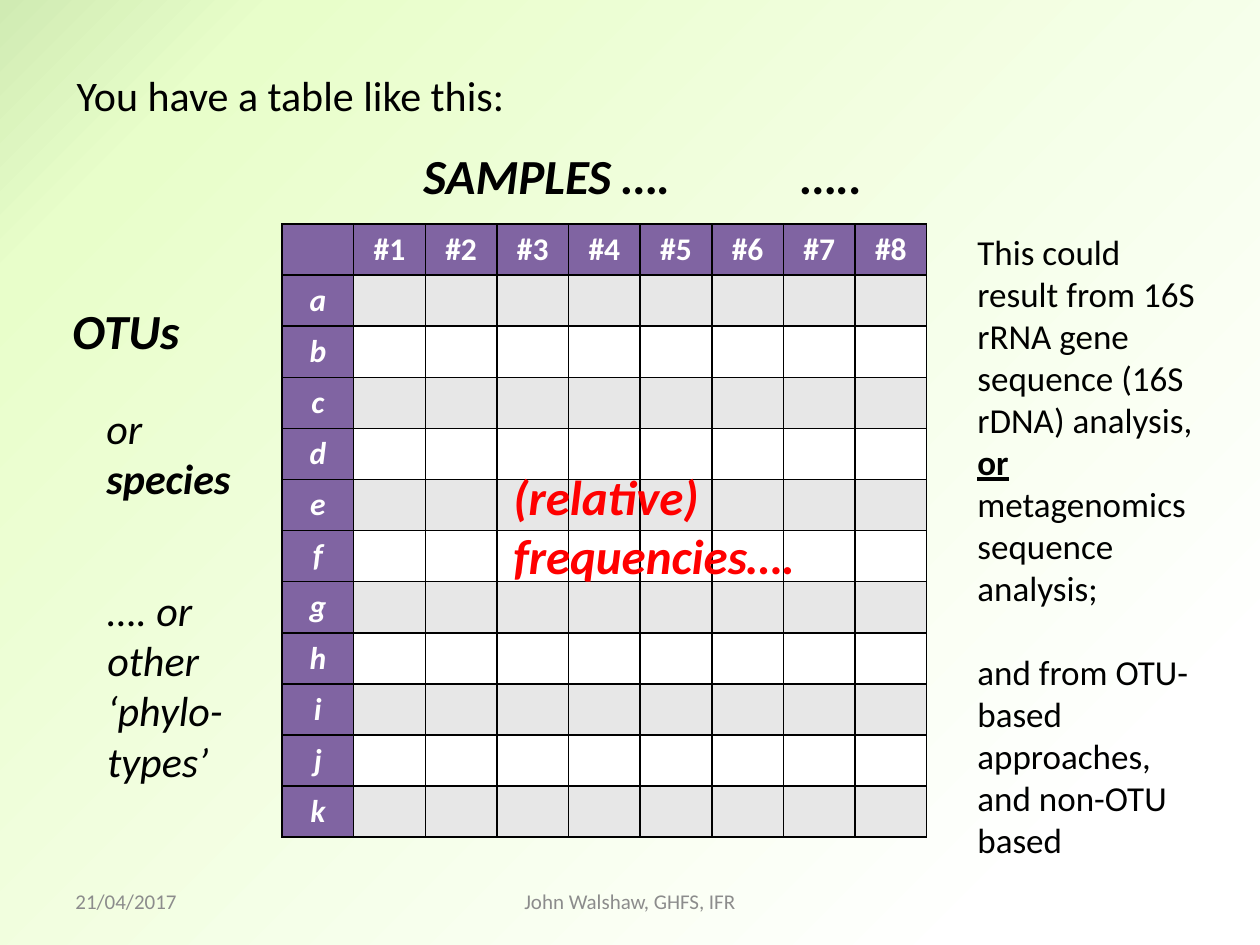
from copy import deepcopy

from lxml.etree import SubElement
from pptx import Presentation
from pptx.dml.color import RGBColor
from pptx.enum.text import MSO_ANCHOR, MSO_AUTO_SIZE, PP_ALIGN
from pptx.oxml.ns import qn
from pptx.util import Emu, Pt

BLACK = RGBColor(0x00, 0x00, 0x00)
WHITE = RGBColor(0xFF, 0xFF, 0xFF)
RED = RGBColor(0xFF, 0x00, 0x00)
GREY = RGBColor(0x8C, 0x8C, 0x8C)
BAND = RGBColor(0xE7, 0xE7, 0xE7)
PURPLE = RGBColor(0x80, 0x64, 0xA2)
LIME = RGBColor(0xD0, 0xEB, 0xB3)
PALE_LIME = RGBColor(0xE8, 0xFE, 0xCA)

SAMPLES = [f"#{number}" for number in range(1, 9)]
OTUS = "abcdefghijk"


def px(length):
    return Emu(round(length * 914400 / 126))


def style(font, size, color=BLACK, bold=False, italic=False):
    font.name = "Calibri"
    font.size = Pt(size)
    font.color.rgb = color
    font.bold = bold
    font.italic = italic


def add_text(slide, box, lines, size, color=BLACK, bold=False, italic=False,
             align=PP_ALIGN.LEFT, anchor=MSO_ANCHOR.TOP):
    """Add a text box; each line is a list of run texts."""
    frame = slide.shapes.add_textbox(*map(px, box)).text_frame
    frame.word_wrap = True
    frame.vertical_anchor = anchor
    for index, runs in enumerate(lines):
        paragraph = frame.add_paragraph() if index else frame.paragraphs[0]
        paragraph.alignment = align
        style(paragraph.font, size, color, bold, italic)
        for text in runs:
            paragraph.add_run().text = text
    return frame.paragraphs


def paint_background(slide):
    fill = slide.background.fill
    fill.gradient()
    fill.gradient_angle = 315
    stop_list = slide.element.find(".//" + qn("a:gsLst"))
    stop_list.append(deepcopy(stop_list[0]))
    colors = [(0, LIME), (0.13, PALE_LIME), (0.87, WHITE)]
    for stop, (position, color) in zip(fill.gradient_stops, colors):
        stop.position = position
        stop.color.rgb = color


def add_title(slide, box, text):
    title = slide.shapes.title
    title.left, title.top, title.width, title.height = map(px, box)
    frame = title.text_frame
    frame.text = text
    frame.word_wrap = False
    frame.auto_size = MSO_AUTO_SIZE.NONE
    frame.vertical_anchor = MSO_ANCHOR.TOP
    frame.paragraphs[0].alignment = PP_ALIGN.LEFT
    style(frame.paragraphs[0].font, 24)


def add_borders(cell):
    properties = cell._tc.get_or_add_tcPr()
    for index, side in enumerate(("a:lnL", "a:lnR", "a:lnT", "a:lnB")):
        line = SubElement(properties, qn(side), w=str(Pt(1)))
        fill = SubElement(line, qn("a:solidFill"))
        SubElement(fill, qn("a:srgbClr"), val=str(BLACK))
        properties.insert(index, line)


def add_otu_table(slide, box):
    rows, columns = len(OTUS) + 1, len(SAMPLES) + 1
    table = slide.shapes.add_table(rows, columns, *map(px, box)).table
    for column in table.columns:
        column.width = px(box[2] / columns)
    for row in table.rows:
        row.height = px(box[3] / rows)
    for row in range(rows):
        for column in range(columns):
            cell = table.cell(row, column)
            is_label = row == 0 or column == 0
            cell.fill.solid()
            cell.fill.fore_color.rgb = PURPLE if is_label else BAND if row % 2 else WHITE
            add_borders(cell)
            if row == 0 and column:
                cell.text = SAMPLES[column - 1]
            elif row and column == 0:
                cell.text = OTUS[row - 1]
            paragraph = cell.text_frame.paragraphs[0]
            paragraph.alignment = PP_ALIGN.CENTER
            style(paragraph.font, 18, WHITE if is_label else BLACK,
                  bold=is_label, italic=is_label and row > 0)


def add_row_names(slide, box):
    left, top, width, height = box
    add_text(slide, (left, top, 142, 72), [["OTUs"]], 28, bold=True, italic=True)
    indent = left + 34
    species = add_text(slide, (indent, top + 102, width - 34, 114),
                       [["or ", "species"]], 24, italic=True)
    species[0].runs[1].font.bold = True
    add_text(slide, (indent + 1, top + 284, width - 34, height - 284),
             [["…. or other ‘phylo-types’"]], 24, italic=True)


def add_explanation(slide, box):
    paragraphs = add_text(slide, box, [
        ["This could result from 16S rRNA gene sequence (16S rDNA) analysis,"],
        ["or ", "metagenomics sequence analysis;"],
        ["and from OTU-based approaches, and non-OTU based"],
    ], 20)
    emphasis = paragraphs[1].runs[0].font
    emphasis.bold = emphasis.underline = True
    paragraphs[2].space_before = Pt(24)


def add_footer(slide, box):
    left, top, width, height = box
    add_text(slide, (left, top, 294, height), [["21/04/2017"]], 12, GREY,
             anchor=MSO_ANCHOR.MIDDLE)
    add_text(slide, (left + (width - 400) / 2, top, 400, height),
             [["John Walshaw, GHFS, IFR"]], 12, GREY,
             align=PP_ALIGN.CENTER, anchor=MSO_ANCHOR.MIDDLE)


def main():
    presentation = Presentation()
    presentation.slide_width, presentation.slide_height = px(1260), px(945)
    slide = presentation.slides.add_slide(presentation.slide_layouts[5])
    paint_background(slide)
    add_title(slide, (64, 63, 457, 63), "You have a table like this:")
    add_otu_table(slide, (282, 224, 645, 612))
    add_footer(slide, (63, 876, 1134, 50))
    add_row_names(slide, (60, 294, 193, 500))
    # Column heading and the note over the table's cells
    add_text(slide, (411, 139, 724, 72), [["SAMPLES ….\t\t\t….."]], 28,
             bold=True, italic=True)
    add_text(slide, (501, 460, 307, 131), [["(relative)"], ["frequencies…."]], 28,
             RED, bold=True, italic=True)
    add_explanation(slide, (965, 224, 248, 649))
    presentation.save("out.pptx")


if __name__ == "__main__":
    main()
